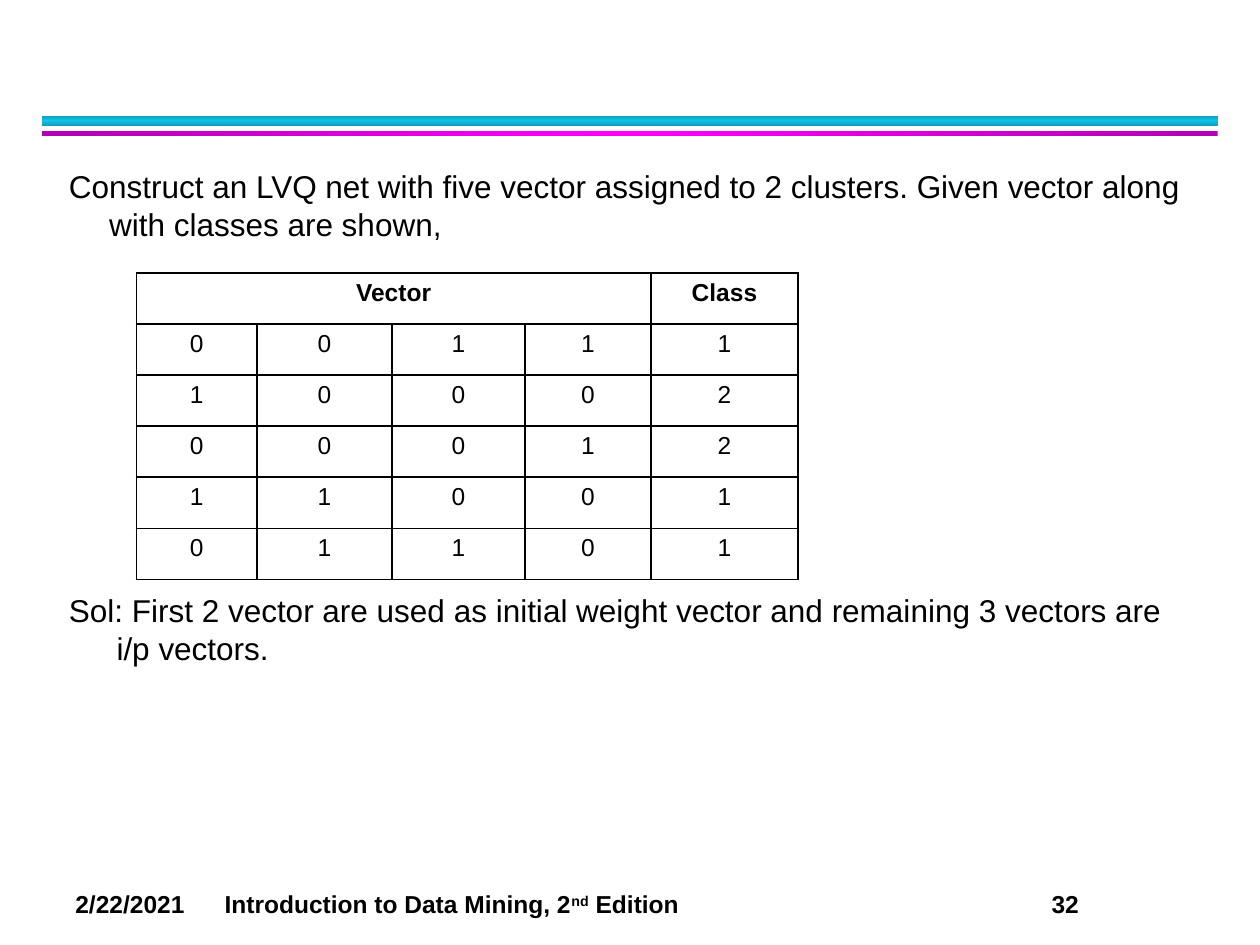
from lxml.etree import SubElement
from pptx import Presentation
from pptx.dml.color import RGBColor
from pptx.enum.shapes import MSO_SHAPE as SHAPE
from pptx.enum.text import PP_ALIGN as ALIGN
from pptx.oxml.ns import qn
from pptx.util import Cm, Pt

BLACK, WHITE = "000000", "FFFFFF"
VECTORS = [
    (0, 0, 1, 1, 1),
    (1, 0, 0, 0, 2),
    (0, 0, 0, 1, 2),
    (1, 1, 0, 0, 1),
    (0, 1, 1, 0, 1),
]


def rgb(color):
    """Turn a hex string into a colour."""
    return RGBColor.from_string(color)


def add_text(p, text, size=14, bold=False, color=BLACK, raised=0):
    """Add a formatted run to a paragraph, raised by a percentage."""
    r = p.add_run()
    r.text = text
    r.font.name = "Arial"
    r.font.size = Pt(size)
    r.font.bold = bold
    r.font.color.rgb = rgb(color)
    if raised:
        r.font._element.set("baseline", str(raised * 1000))


def add_box(s, left, top, width, height):
    """Add a wrapping text box and return its text frame."""
    tf = s.shapes.add_textbox(Cm(left), Cm(top), Cm(width), Cm(height)).text_frame
    tf.word_wrap = True
    return tf


def add_band(s, top, height, edge, middle, angle):
    """Add a band across the slide that is lighter in the middle."""
    sp = s.shapes.add_shape(SHAPE.RECTANGLE, Cm(0.85), Cm(top), Cm(23.7), Cm(height))
    sp.shadow.inherit = False
    sp.line.fill.background()
    sp.fill.gradient()
    stops = sp._element.spPr.find(qn("a:gradFill")).find(qn("a:gsLst"))
    for stop in list(stops):
        stops.remove(stop)
    for position, color in ((0, edge), (50, middle), (100, edge)):
        stop = SubElement(stops, qn("a:gs"), pos=str(position * 1000))
        SubElement(stop, qn("a:srgbClr"), val=color)
    sp.fill.gradient_angle = angle


def set_hanging(p, indent):
    """Give a paragraph a hanging indent."""
    pPr = p._p.get_or_add_pPr()
    pPr.set("marL", str(Cm(indent)))
    pPr.set("indent", str(-Cm(indent)))


def set_tabs(p, *positions):
    """Give a paragraph left tab stops."""
    tabs = SubElement(p._p.get_or_add_pPr(), qn("a:tabLst"))
    for position in positions:
        SubElement(tabs, qn("a:tab"), pos=str(Cm(position)), algn="l")


def fill_cell(cell, text="", bold=False):
    """Set a cell's text, white fill and black borders."""
    tcPr = cell._tc.get_or_add_tcPr()
    for side in ("L", "R", "T", "B"):
        ln = SubElement(tcPr, qn(f"a:ln{side}"), w=str(Pt(1)))
        SubElement(SubElement(ln, qn("a:solidFill")), qn("a:srgbClr"), val=BLACK)
    cell.fill.solid()
    cell.fill.fore_color.rgb = rgb(WHITE)
    p = cell.text_frame.paragraphs[0]
    p.alignment = ALIGN.CENTER
    if text:
        add_text(p, text, bold=bold)


def add_vector_table(s, left, top, widths, row_height):
    """Add the table of vectors and their classes."""
    rows = [("Vector", "", "", "", "Class"), *VECTORS]
    frame = s.shapes.add_table(
        len(rows), len(widths), Cm(left), Cm(top),
        Cm(sum(widths)), Cm(row_height * len(rows)))
    table = frame.table
    table.first_row = table.horz_banding = False
    for column, width in zip(table.columns, widths):
        column.width = Cm(width)
    for i, values in enumerate(rows):
        table.rows[i].height = Cm(row_height)
        for j, value in enumerate(values):
            fill_cell(table.cell(i, j), str(value), bold=i == 0)
    table.cell(0, 0).merge(table.cell(0, 3))


def add_body(s):
    """Add the problem above the table and the solution below it."""
    tf = add_box(s, 1.14, 3.25, 23.11, 10.72)
    p = tf.paragraphs[0]
    set_hanging(p, 0.81)
    add_text(p, "Construct an LVQ net with five vector assigned to 2 clusters. "
                "Given vector along with classes are shown,", size=18)
    p = tf.add_paragraph()
    set_hanging(p, 0.96)
    p.space_before = Pt(199)
    add_text(p, "Sol: First 2 vector are used as initial weight vector and "
                "remaining 3 vectors are i/p vectors.", size=18)


def add_footer(s):
    """Add the date, course title and page number."""
    p = add_box(s, 1.27, 17.8, 23.7, 0.86).paragraphs[0]
    set_tabs(p, 3.01, 19.68)
    add_text(p, "2/22/2021\tIntroduction to Data Mining, 2", bold=True)
    add_text(p, "nd", bold=True, raised=30)
    add_text(p, " Edition\t32", bold=True)


def main():
    """Build and save the slide."""
    prs = Presentation()
    prs.slide_width, prs.slide_height = Cm(25.4), Cm(19.05)
    s = prs.slides.add_slide(prs.slide_layouts[6])
    add_band(s, 2.33, 0.21, "0E9BBA", "12C2E9", 90)
    add_band(s, 2.64, 0.11, "B200B2", "FF00FF", 0)
    add_footer(s)
    add_body(s)
    add_vector_table(s, 2.75, 5.5, (2.43, 2.72, 2.68, 2.54, 2.97), 1.03)
    prs.save("out.pptx")


if __name__ == "__main__":
    main()
